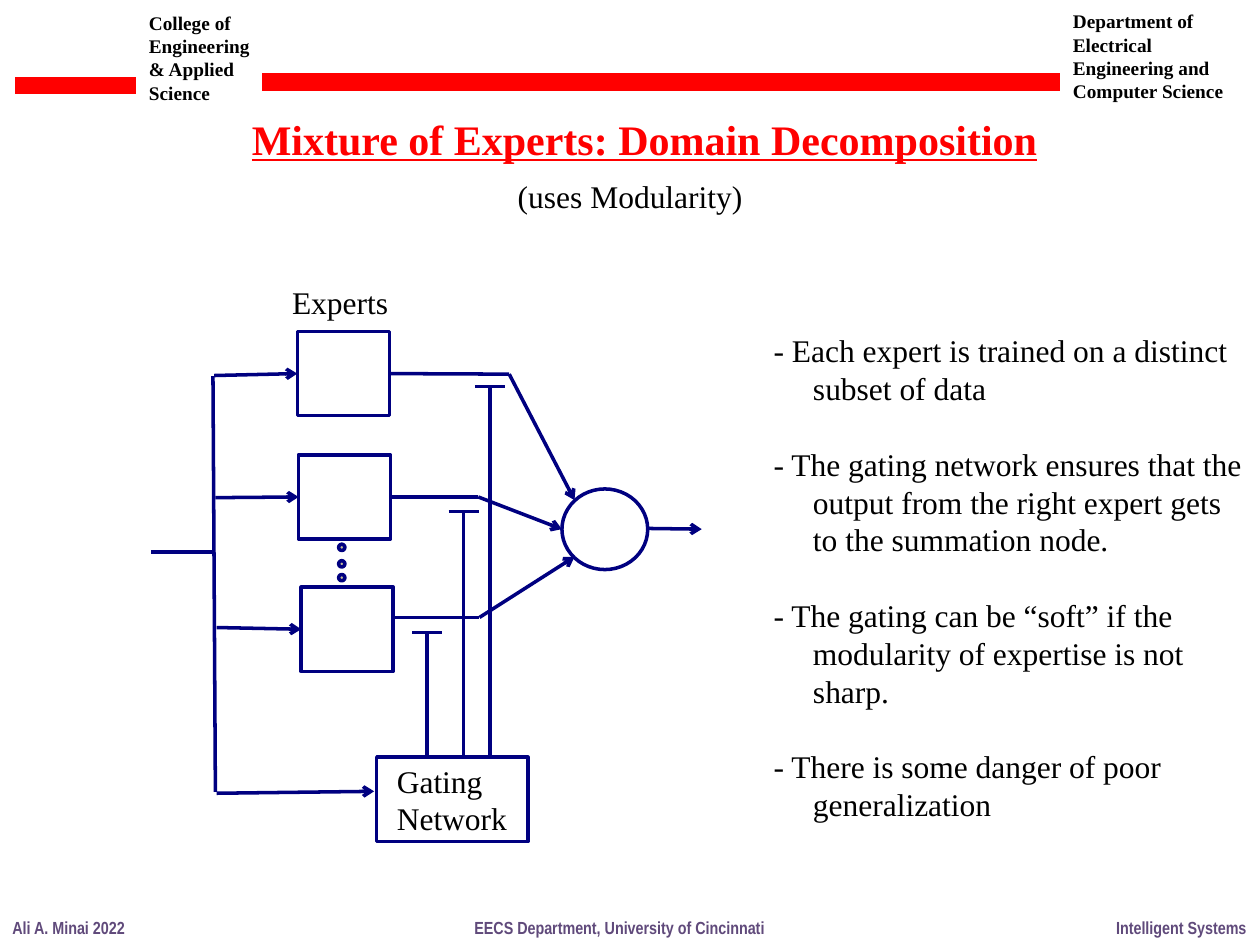
from collections import namedtuple
from dataclasses import dataclass

from pptx import Presentation
from pptx.dml.color import RGBColor
from pptx.enum.shapes import MSO_CONNECTOR as Link, MSO_SHAPE as Preset
from pptx.enum.text import MSO_ANCHOR as Anchor, PP_ALIGN as Align
from pptx.oxml.ns import qn
from pptx.util import Pt
from lxml.etree import SubElement

Box = namedtuple("Box", "left top width height")


@dataclass(frozen=True)
class Theme:
    """Colours, fonts, type sizes and line widths of the slide."""
    red: str = "FF0000"
    black: str = "000000"
    navy: str = "000080"
    purple: str = "604A7B"
    tan: str = "C4BD97"
    serif: str = "Times New Roman"
    narrow: str = "Arial Narrow"
    title: int = 24
    body: int = 18
    header: int = 11
    footer: int = 10
    stroke: int = 2
    bar: int = 10


THEME = Theme()


def style_text(frame, size, color=THEME.black, font=THEME.serif, bold=False, underline=False):
    """Give every run in a text frame the same look."""
    for para in frame.paragraphs:
        para.alignment = Align.LEFT
        for span in para.runs:
            span.font.size = Pt(size)
            span.font.name = font
            span.font.bold = bold
            span.font.underline = underline
            span.font.color.rgb = RGBColor.from_string(color)


def add_text(page, box, text, size, wrap=False, **look):
    """Add a text box and return its frame."""
    frame = page.shapes.add_textbox(*map(Pt, box)).text_frame
    frame.word_wrap = wrap
    frame.text = text
    style_text(frame, size, **look)
    return frame


def add_line(page, start, end, color=THEME.navy, width=THEME.stroke, arrow=False):
    """Add a straight connector, with an open arrowhead if wanted."""
    line = page.shapes.add_connector(Link.STRAIGHT, *map(Pt, (*start, *end)))
    line.line.color.rgb = RGBColor.from_string(color)
    line.line.width = Pt(width)
    if arrow:
        SubElement(line.line._get_or_add_ln(), qn("a:tailEnd"), type="arrow")
    SubElement(line._element.spPr, qn("a:effectLst"))
    return line


def add_outline(page, preset, box, fill=None):
    """Add a navy outlined shape, hollow unless a fill is given."""
    shape = page.shapes.add_shape(preset, *map(Pt, box))
    shape.shadow.inherit = False
    if fill:
        shape.fill.solid()
        shape.fill.fore_color.rgb = RGBColor.from_string(fill)
    else:
        shape.fill.background()
    shape.line.color.rgb = RGBColor.from_string(THEME.navy)
    shape.line.width = Pt(THEME.stroke)
    return shape


def add_header(page, box):
    """Place the two unit names and the red bars between them."""
    college = "College of Engineering & Applied\nScience"
    department = "Department of Electrical Engineering and Computer Science"
    for left, top, width, text in ((78, 3, 78.5, college), (606, 2, 106, department)):
        add_text(page, Box(box.left + left, box.top + top, width, 60), text,
                 THEME.header, wrap=True, bold=True)
    for start, end, level in ((8.6, 77.8, 49), (149.8, 606, 46.8)):
        add_line(page, (box.left + start, box.top + level), (box.left + end, box.top + level),
                 THEME.red, THEME.bar)


def add_titles(page, box):
    """Place the title and the remark under it."""
    add_text(page, Box(box.left, box.top, box.width, 36), "Mixture of Experts: Domain Decomposition",
             THEME.title, color=THEME.red, bold=True, underline=True)
    add_text(page, Box(box.left + 152, box.top + 36.7, 144, 28.8), "(uses Modularity)", THEME.body)


def add_footer(page, box):
    """Place the three footer texts along one line."""
    for left, width, text in ((0, 79, "Ali A. Minai 2022"),
                              (264, 181.5, "EECS Department, University of Cincinnati"),
                              (630.7, 89.3, "Intelligent Systems")):
        add_text(page, Box(box.left + left, box.top, width, box.height), text, THEME.footer,
                 color=THEME.purple, font=THEME.narrow, bold=True)


def add_notes_list(page, box):
    """Place the remarks as hanging paragraphs one line apart."""
    remarks = (
        "- Each expert is trained on a distinct\vsubset of data",
        "- The gating network ensures that the\voutput from the right expert gets\vto the summation node.",
        "- The gating can be “soft” if the\vmodularity of expertise is not\vsharp.",
        "- There is some danger of poor\vgeneralization",
    )
    frame = add_text(page, box, "\n".join(remarks), THEME.body)
    for index, para in enumerate(frame.paragraphs):
        properties = para._p.get_or_add_pPr()
        properties.set("marL", str(Pt(22.5)))
        properties.set("indent", str(-Pt(22.5)))
        if index:
            para.space_before = Pt(21.6)


def add_diagram(page, box):
    """Draw the experts, the gating network and the summation node."""
    def at(x, y):
        return box.left + x, box.top + y

    def place(x, y, width, height):
        return Box(*at(x, y), width, height)

    add_text(page, place(73.8, 0, 70, 28.8), "Experts", THEME.body)
    add_line(page, at(0.4, 157.4), at(35.7, 157.4))
    add_line(page, at(35.7, 57), at(37.1, 294.5))

    experts = (
        (83.9, 31.4, (36.4, 56.6), (205, 55.8), (242.3, 127.8)),
        (84.6, 101.9, (37.1, 126.4), (187.3, 126), (235.1, 144.4)),
        (86.1, 177.5, (37.8, 200.6), (188, 194.8), (242.3, 160.2)),
    )
    for left, top, source, bend, target in experts:
        expert = add_outline(page, Preset.RECTANGLE, place(left, top, 52.6, 48.2))
        feed = add_line(page, at(*source), at(left, top + 24.1), arrow=True)
        feed.end_connect(expert, 1)
        result = add_line(page, at(left + 52.6, bend[1]), at(*bend))
        if abs(bend[1] - top - 24.1) < 1:
            result.begin_connect(expert, 3)
        add_line(page, at(*bend), at(*target), arrow=True)

    for top in (153, 162.4, 170.3):
        add_outline(page, Preset.OVAL, place(107.5, top, 3.6, 3.6), THEME.tan)

    add_outline(page, Preset.OVAL, place(235.1, 121.4, 49, 46.1))
    add_line(page, at(284.8, 144), at(315, 144.4), arrow=True)

    gate = add_outline(page, Preset.RECTANGLE, place(129.3, 274.7, 86.4, 48.2))
    frame = gate.text_frame
    frame.text = "Gating\nNetwork"
    frame.word_wrap = True
    frame.vertical_anchor = Anchor.MIDDLE
    frame.margin_left, frame.margin_right = Pt(11.5), Pt(0)
    style_text(frame, THEME.body)
    add_line(page, at(37.8, 295.3), at(127.8, 294.2), arrow=True)
    for x, y in ((158.1, 203.4), (179, 134.3), (194, 63)):
        add_line(page, at(x, 274), at(x, y))
        add_line(page, at(x - 8.6, y), at(x + 8.6, y))


def main():
    """Build the slide and save it."""
    deck = Presentation()
    deck.slide_width, deck.slide_height = Pt(720), Pt(540)
    page = deck.slides.add_slide(deck.slide_layouts[6])
    add_header(page, Box(0, 0, 720, 64))
    add_titles(page, Box(136.8, 61.2, 468, 66))
    add_diagram(page, Box(86, 158, 316, 323))
    add_notes_list(page, Box(435, 185.8, 285, 291))
    add_footer(page, Box(0, 520.6, 720, 19.4))
    deck.save("out.pptx")


if __name__ == "__main__":
    main()
